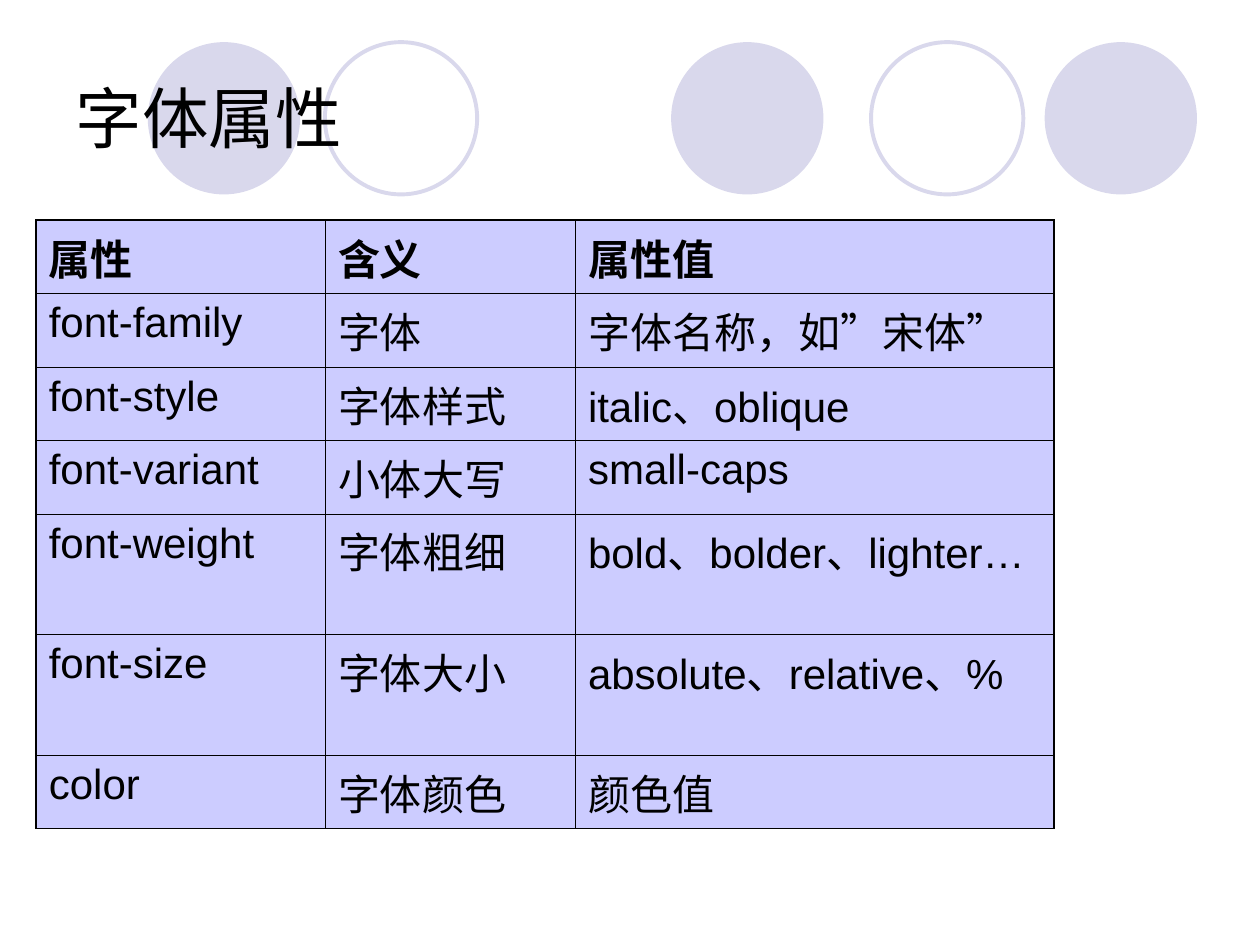
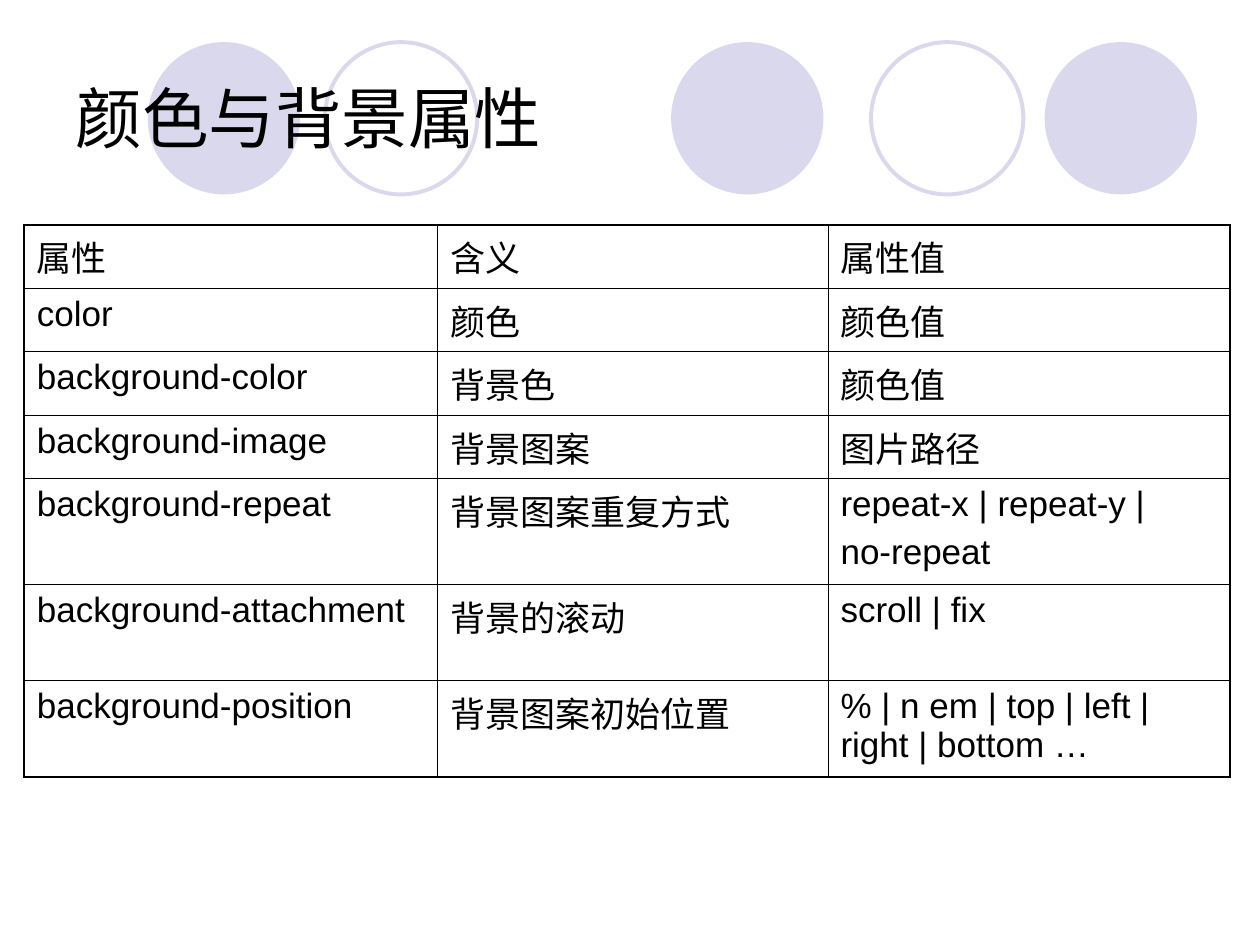
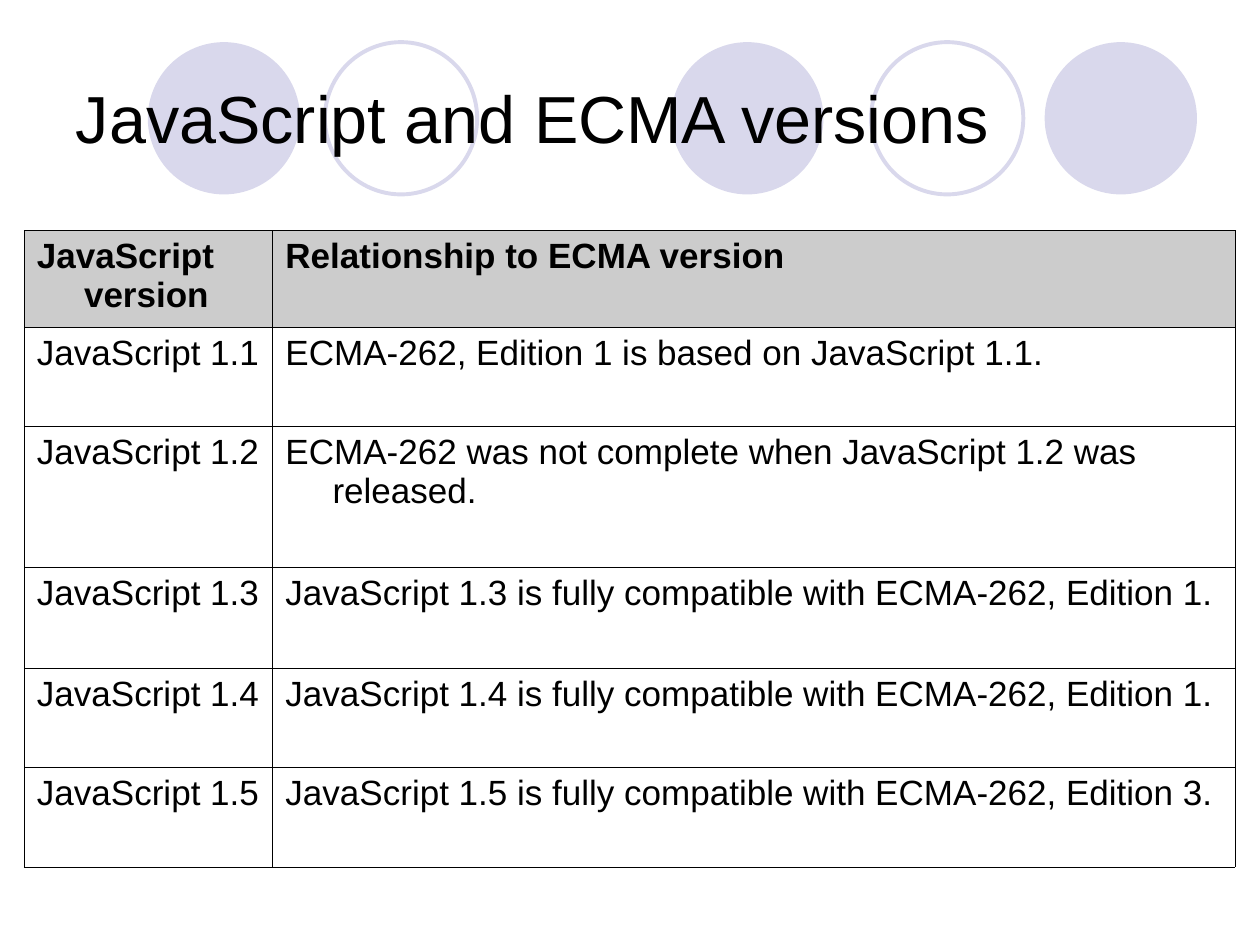
import pptx
import pptx.dml.color
import pptx.enum.shapes
import pptx.enum.text
import pptx.oxml
import pptx.oxml.ns
import pptx.util
from pptx.util import Cm

# Shared look
BLACK = pptx.dml.color.RGBColor(0x00, 0x00, 0x00)
WHITE = pptx.dml.color.RGBColor(0xFF, 0xFF, 0xFF)
LAVENDER = pptx.dml.color.RGBColor(0xD9, 0xD8, 0xEC)
PERIWINKLE = pptx.dml.color.RGBColor(0xCC, 0xCC, 0xFF)
GREY = pptx.dml.color.RGBColor(0xCC, 0xCC, 0xCC)
FONT = "Arial"
TITLE_SIZE = 38
THIN, THICK = 0.45, 1.08

# Circles behind the title: left edge in cm, filled or outlined
CIRCLE_TOP, CIRCLE_SIZE = 0.85, 3.07
CIRCLES = [(13.53, True), (21.06, True), (2.98, True), (17.56, False), (6.55, False)]

# One entry per slide; lengths in cm, a line break in a cell starts a new paragraph
SLIDES = [
    {
        "title": "字体属性",
        "left": 0.73, "top": 4.44,
        "columns": [5.83, 5.04, 9.65],
        "heights": [1.48, 1.48, 1.48, 1.48, 2.43, 2.43, 1.48],
        "size": 24, "space": 6, "indent": 0, "outer": THICK,
        "bold_header": True, "header_fill": PERIWINKLE, "body_fill": PERIWINKLE,
        "rows": [
            ("属性", "含义", "属性值"),
            ("font-family", "字体", "字体名称，如”宋体”"),
            ("font-style", "字体样式", "italic、oblique"),
            ("font-variant", "小体大写", "small-caps"),
            ("font-weight", "字体粗细", "bold、bolder、lighter…"),
            ("font-size", "字体大小", "absolute、relative、%"),
            ("color", "字体颜色", "颜色值"),
        ],
    },
    {
        "title": "颜色与背景属性",
        "left": 0.49, "top": 4.53,
        "columns": [8.33, 7.87, 8.1],
        "heights": [1.28, 1.28, 1.28, 1.28, 2.12, 1.94, 1.95],
        "size": 20, "space": 5, "indent": 0, "outer": THICK,
        "bold_header": False, "header_fill": WHITE, "body_fill": WHITE,
        "rows": [
            ("属性", "含义", "属性值"),
            ("color", "颜色", "颜色值"),
            ("background-color", "背景色", "颜色值"),
            ("background-image", "背景图案", "图片路径"),
            ("background-repeat", "背景图案重复方式", "repeat-x | repeat-y |\nno-repeat"),
            ("background-attachment", "背景的滚动", "scroll | fix"),
            ("background-position", "背景图案初始位置",
             "% | n em | top | left | right | bottom …"),
        ],
    },
    {
        "title": "JavaScript and ECMA versions",
        "left": 0.49, "top": 4.65,
        "columns": [5.01, 19.4],
        "heights": [1.95, 1.99, 2.85, 2.03, 2.01, 2.0],
        "size": 20, "space": 5, "indent": 0.95, "outer": THIN,
        "bold_header": True, "header_fill": GREY, "body_fill": None,
        "rows": [
            ("JavaScript version", "Relationship to ECMA version"),
            ("JavaScript 1.1", "ECMA-262, Edition 1 is based on JavaScript 1.1."),
            ("JavaScript 1.2", "ECMA-262 was not complete when JavaScript 1.2 was released."),
            ("JavaScript 1.3", "JavaScript 1.3 is fully compatible with ECMA-262, Edition 1."),
            ("JavaScript 1.4", "JavaScript 1.4 is fully compatible with ECMA-262, Edition 1."),
            ("JavaScript 1.5", "JavaScript 1.5 is fully compatible with ECMA-262, Edition 3."),
        ],
    },
]


def add_run(paragraph, text, size, bold=False):
    run = paragraph.add_run()
    run.text = text
    run.font.name = FONT
    run.font.size = pptx.util.Pt(size)
    run.font.bold = bold
    run.font.color.rgb = BLACK


def add_border(cell, side, width):
    cell._tc.get_or_add_tcPr().append(pptx.oxml.parse_xml(
        f'<a:ln{side} {pptx.oxml.ns.nsdecls("a")} w="{pptx.util.Pt(width)}">'
        f'<a:solidFill><a:srgbClr val="{BLACK}"/></a:solidFill></a:ln{side}>'))


presentation = pptx.Presentation()
presentation.slide_width = Cm(25.4)
presentation.slide_height = Cm(19.05)

for content in SLIDES:
    slide = presentation.slides.add_slide(presentation.slide_layouts[6])

    # Circles
    for left, filled in CIRCLES:
        circle = slide.shapes.add_shape(
            pptx.enum.shapes.MSO_SHAPE.OVAL,
            Cm(left), Cm(CIRCLE_TOP), Cm(CIRCLE_SIZE), Cm(CIRCLE_SIZE))
        circle.shadow.inherit = False
        if filled:
            circle.fill.solid()
            circle.fill.fore_color.rgb = LAVENDER
            circle.line.fill.background()
        else:
            circle.fill.background()
            circle.line.color.rgb = LAVENDER
            circle.line.width = pptx.util.Pt(2.25)

    # Title
    title = slide.shapes.add_textbox(Cm(1.28), Cm(0.76), Cm(22.86), Cm(3.18))
    title.text_frame.word_wrap = True
    title.text_frame.vertical_anchor = pptx.enum.text.MSO_ANCHOR.MIDDLE
    add_run(title.text_frame.paragraphs[0], content["title"], TITLE_SIZE)

    # Table grid
    rows, columns, heights = content["rows"], content["columns"], content["heights"]
    table = slide.shapes.add_table(
        len(rows), len(columns), Cm(content["left"]), Cm(content["top"]),
        Cm(sum(columns)), Cm(sum(heights))).table
    table.first_row = False
    table.horz_banding = False
    for column, width in zip(table.columns, columns):
        column.width = Cm(width)
    for row, height in zip(table.rows, heights):
        row.height = Cm(height)

    # Table cells
    for row_index, row_texts in enumerate(rows):
        is_header = row_index == 0
        fill_color = content["header_fill"] if is_header else content["body_fill"]
        for column_index, cell_text in enumerate(row_texts):
            cell = table.cell(row_index, column_index)
            outer_sides = {
                "L": column_index == 0,
                "R": column_index == len(columns) - 1,
                "T": is_header,
                "B": row_index == len(rows) - 1,
            }
            for side, is_outer in outer_sides.items():
                add_border(cell, side, content["outer"] if is_outer else THIN)
            if fill_color is None:
                cell.fill.background()
            else:
                cell.fill.solid()
                cell.fill.fore_color.rgb = fill_color

            for line_index, line in enumerate(cell_text.split("\n")):
                if line_index == 0:
                    paragraph = cell.text_frame.paragraphs[0]
                else:
                    paragraph = cell.text_frame.add_paragraph()
                    paragraph.space_before = pptx.util.Pt(content["space"])
                if content["indent"]:
                    properties = paragraph._p.get_or_add_pPr()
                    properties.set("marL", str(Cm(content["indent"])))
                    properties.set("indent", str(-Cm(content["indent"])))
                add_run(paragraph, line, content["size"],
                        is_header and content["bold_header"])

presentation.save("out.pptx")
